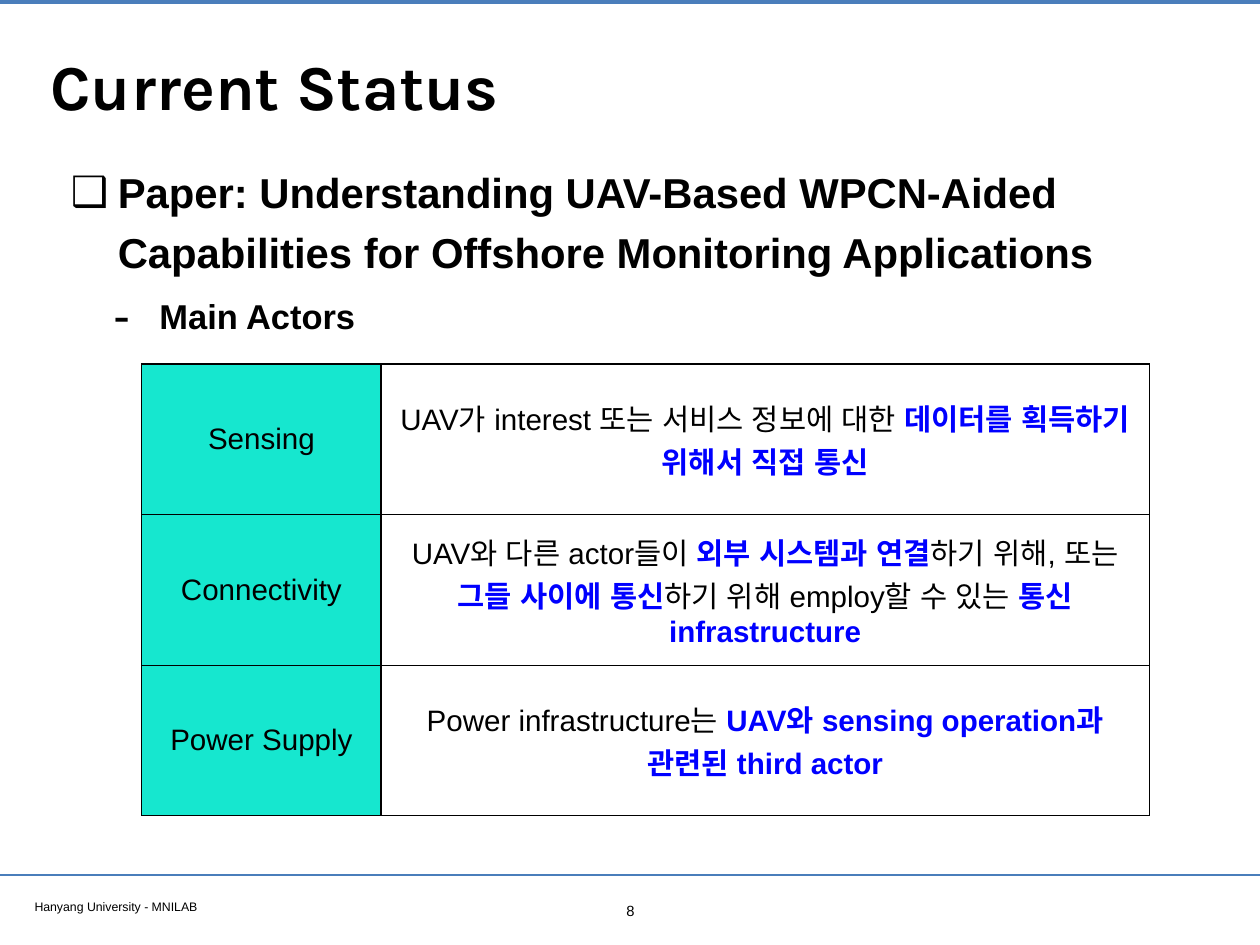
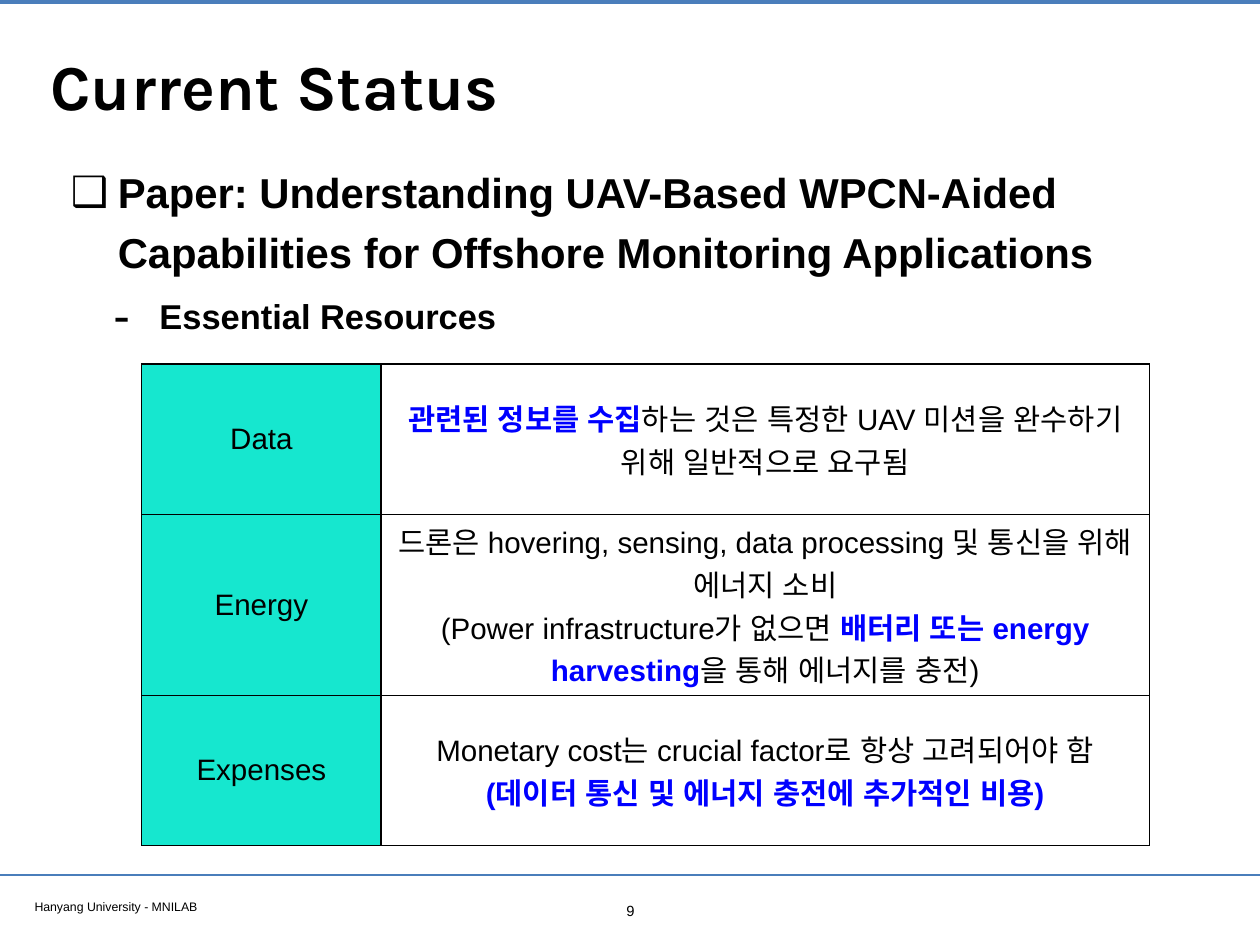
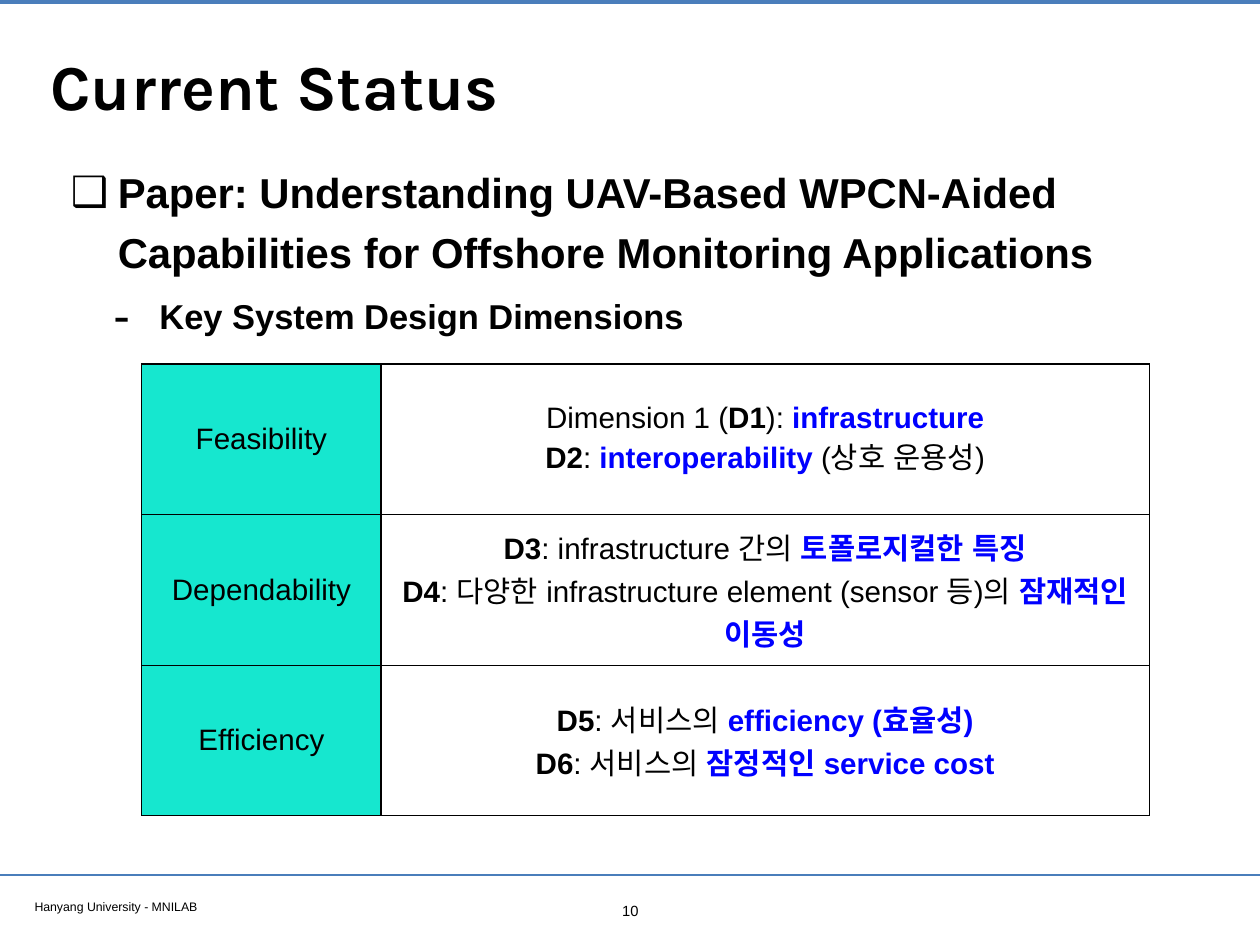
from lxml import etree
from pptx import Presentation
from pptx.dml.color import RGBColor
from pptx.enum.lang import MSO_LANGUAGE_ID
from pptx.enum.shapes import MSO_CONNECTOR
from pptx.enum.text import MSO_ANCHOR, PP_ALIGN
from pptx.oxml.ns import qn
from pptx.util import Inches, Pt

KOREAN = MSO_LANGUAGE_ID.KOREAN
STRAIGHT = MSO_CONNECTOR.STRAIGHT
MIDDLE, TOP = MSO_ANCHOR.MIDDLE, MSO_ANCHOR.TOP
CENTER, LEFT = PP_ALIGN.CENTER, PP_ALIGN.LEFT

SLIDE_W, SLIDE_H = 14.22, 10.67
BLACK, BLUE, RULE_BLUE, TEAL = "000000", "0000FF", "4A7EBB", "16E7CF"

TITLE = "Current Status"
PAPER = ("Paper: Understanding UAV-Based WPCN-Aided Capabilities "
         "for Offshore Monitoring Applications")
FOOTER = "Hanyang University - MNILAB"
FIRST_PAGE = 8

# Text formats: size, font, weight, colour
TITLE_FORMAT = {"size": Pt(52), "name": "Karla", "bold": True, "color": BLACK}
PAPER_FORMAT = {"size": Pt(34), "name": "Arial", "bold": True, "color": BLACK}
TOPIC_FORMAT = {**PAPER_FORMAT, "size": Pt(28)}
FOOTER_FORMAT = {"size": Pt(10), "name": "Arial", "color": BLACK}
PAGE_FORMAT = {**FOOTER_FORMAT, "size": Pt(12)}
PLAIN = {"size": Pt(24), "name": "Arial", "bold": False, "color": BLACK,
         "language_id": KOREAN}
STRONG = {**PLAIN, "bold": True}
KEY = {**STRONG, "color": BLUE}

# Each slide: topic and rows; each row: label and paragraphs of (text, format) runs
SLIDES = [
    ("Main Actors", [
        ("Sensing", [[("UAV가 interest 또는 서비스 정보에 대한 ", PLAIN),
                      ("데이터를 획득하기 위해서 직접 통신", KEY)]]),
        ("Connectivity", [[("UAV와 다른 actor들이 ", PLAIN),
                           ("외부 시스템과 연결", KEY),
                           ("하기 위해, 또는 ", PLAIN),
                           ("그들 사이에 통신", KEY),
                           ("하기 위해 employ할 수 있는 ", PLAIN),
                           ("통신 infrastructure", KEY)]]),
        ("Power Supply", [[("Power infrastructure는 ", PLAIN),
                           ("UAV와 sensing operation과 관련된 third actor", KEY)]]),
    ]),
    ("Essential Resources", [
        ("Data", [[("관련된 정보를 수집", KEY),
                   ("하는 것은 특정한 UAV 미션을 완수하기 위해 일반적으로 요구됨", PLAIN)]]),
        ("Energy", [[("드론은 hovering, sensing, data processing 및 통신을 위해 에너지 소비",
                      PLAIN)],
                    [("(Power infrastructure가 없으면 ", PLAIN),
                     ("배터리 또는 energy harvesting", KEY),
                     ("을 통해 에너지를 충전)", PLAIN)]]),
        ("Expenses", [[("Monetary cost는 crucial factor로 항상 고려되어야 함", PLAIN)],
                      [("(데이터 통신 및 에너지 충전에 추가적인 비용)", KEY)]]),
    ]),
    ("Key System Design Dimensions", [
        ("Feasibility", [[("Dimension 1 (", PLAIN), ("D1", STRONG),
                          ("): ", PLAIN), ("infrastructure", KEY)],
                         [("D2", STRONG), (": ", PLAIN),
                          ("interoperability", KEY), (" (상호 운용성)", PLAIN)]]),
        ("Dependability", [[("D3", STRONG), (": infrastructure 간의 ", PLAIN),
                            ("토폴로지컬한 특징", KEY)],
                           [("D4", STRONG),
                            (": 다양한 infrastructure element (sensor 등)의 ", PLAIN),
                            ("잠재적인 이동성", KEY)]]),
        ("Efficiency", [[("D5", STRONG), (": 서비스의 ", PLAIN),
                         ("efficiency (효율성)", KEY)],
                        [("D6", STRONG), (": 서비스의 ", PLAIN),
                         ("잠정적인 service cost", KEY)]]),
    ]),
]

TABLE_LEFT, TABLE_TOP = 1.6, 4.11
COLUMN_WIDTHS = (2.7, 8.67)
ROW_HEIGHT = 1.7
TALL_ROWS = {"Energy": 2.04}  # four lines of text need more room
RULES = [(0.02, 3.2), (9.88, 2)]  # height on the slide, line width


def rgb(color):
    return RGBColor.from_string(color)


def format_font(font, text_format):
    for key, value in text_format.items():
        if key == "color":
            font.color.rgb = rgb(value)
        else:
            setattr(font, key, value)


def write(frame, paragraphs, align=LEFT):
    """Fill a text frame with paragraphs, each a list of (text, format) runs."""
    for number, runs in enumerate(paragraphs):
        paragraph = frame.add_paragraph() if number else frame.paragraphs[0]
        paragraph.alignment = align
        for text, text_format in runs:
            run = paragraph.add_run()
            run.text = text
            format_font(run.font, text_format)


def add_text(slide, box, paragraphs, align=LEFT, anchor=TOP):
    frame = slide.shapes.add_textbox(*map(Inches, box)).text_frame
    frame.word_wrap = True
    frame.vertical_anchor = anchor
    for side in ("left", "right", "top", "bottom"):
        setattr(frame, f"margin_{side}", Inches(0.06))
    write(frame, paragraphs, align)
    return frame


def add_bullet(paragraph, char, indent, hanging, percent=100):
    properties = paragraph._p.get_or_add_pPr()
    properties.set("marL", str(Inches(indent)))
    properties.set("indent", str(-Inches(hanging)))
    for tag, attribute, value in (("a:buSzPct", "val", str(percent * 1000)),
                                  ("a:buFont", "typeface", "Arial"),
                                  ("a:buChar", "char", char)):
        etree.SubElement(properties, qn(tag)).set(attribute, value)


def add_rule(slide, y, width):
    rule = slide.shapes.add_connector(
        STRAIGHT, 0, Inches(y), Inches(SLIDE_W), Inches(y))
    rule.line.color.rgb = rgb(RULE_BLUE)
    rule.line.width = Pt(width)
    etree.SubElement(rule._element.spPr, qn("a:effectLst"))


def add_frame(slide, page):
    """Add the rules, title, footer and page number that every slide has."""
    for y, width in RULES:
        add_rule(slide, y, width)
    add_text(slide, (0.33, 10.09, 5.46, 0.26), [[(FOOTER, FOOTER_FORMAT)]])
    add_text(slide, (0.51, 0.28, 13.21, 1.35), [[(TITLE, TITLE_FORMAT)]],
             anchor=MIDDLE)
    add_text(slide, (6.92, 10.12, 0.39, 0.31), [[(str(page), PAGE_FORMAT)]],
             align=CENTER)


def add_headings(slide, topic):
    frame = add_text(slide, (0.74, 1.71, 13.35, 2.22),
                     [[(PAPER, PAPER_FORMAT)], [(topic, TOPIC_FORMAT)]])
    paper_line, topic_line = frame.paragraphs
    topic_line.level = 1
    topic_line.space_before = Pt(8)
    for paragraph in frame.paragraphs:
        paragraph.line_spacing = 1.2
    add_bullet(paper_line, "❑", 0.53, 0.53)
    add_bullet(topic_line, "-", 1, 0.52, 145)


def add_borders(cell):
    properties = cell._tc.get_or_add_tcPr()
    for side in ("lnL", "lnR", "lnT", "lnB"):
        border = etree.SubElement(properties, qn(f"a:{side}"), w=str(Pt(1)))
        fill = etree.SubElement(border, qn("a:solidFill"))
        etree.SubElement(fill, qn("a:srgbClr"), val=BLACK)


def fill_cell(cell, paragraphs, color=None):
    add_borders(cell)
    if color:
        cell.fill.solid()
        cell.fill.fore_color.rgb = rgb(color)
    else:
        cell.fill.background()
    cell.vertical_anchor = MIDDLE
    write(cell.text_frame, paragraphs, CENTER)


def add_definitions(slide, rows):
    heights = [TALL_ROWS.get(label, ROW_HEIGHT) for label, _ in rows]
    table = slide.shapes.add_table(
        len(rows), len(COLUMN_WIDTHS), Inches(TABLE_LEFT), Inches(TABLE_TOP),
        Inches(sum(COLUMN_WIDTHS)), Inches(sum(heights))).table
    table.first_row = table.horz_banding = False
    for column, width in zip(table.columns, COLUMN_WIDTHS):
        column.width = Inches(width)
    for number, (label, definition) in enumerate(rows):
        table.rows[number].height = Inches(heights[number])
        fill_cell(table.cell(number, 0), [[(label, PLAIN)]], TEAL)
        fill_cell(table.cell(number, 1), definition)


def main():
    presentation = Presentation()
    presentation.slide_width = Inches(SLIDE_W)
    presentation.slide_height = Inches(SLIDE_H)
    blank = presentation.slide_layouts[6]
    for page, (topic, rows) in enumerate(SLIDES, FIRST_PAGE):
        slide = presentation.slides.add_slide(blank)
        add_frame(slide, page)
        add_headings(slide, topic)
        add_definitions(slide, rows)
    presentation.save("out.pptx")


if __name__ == "__main__":
    main()
